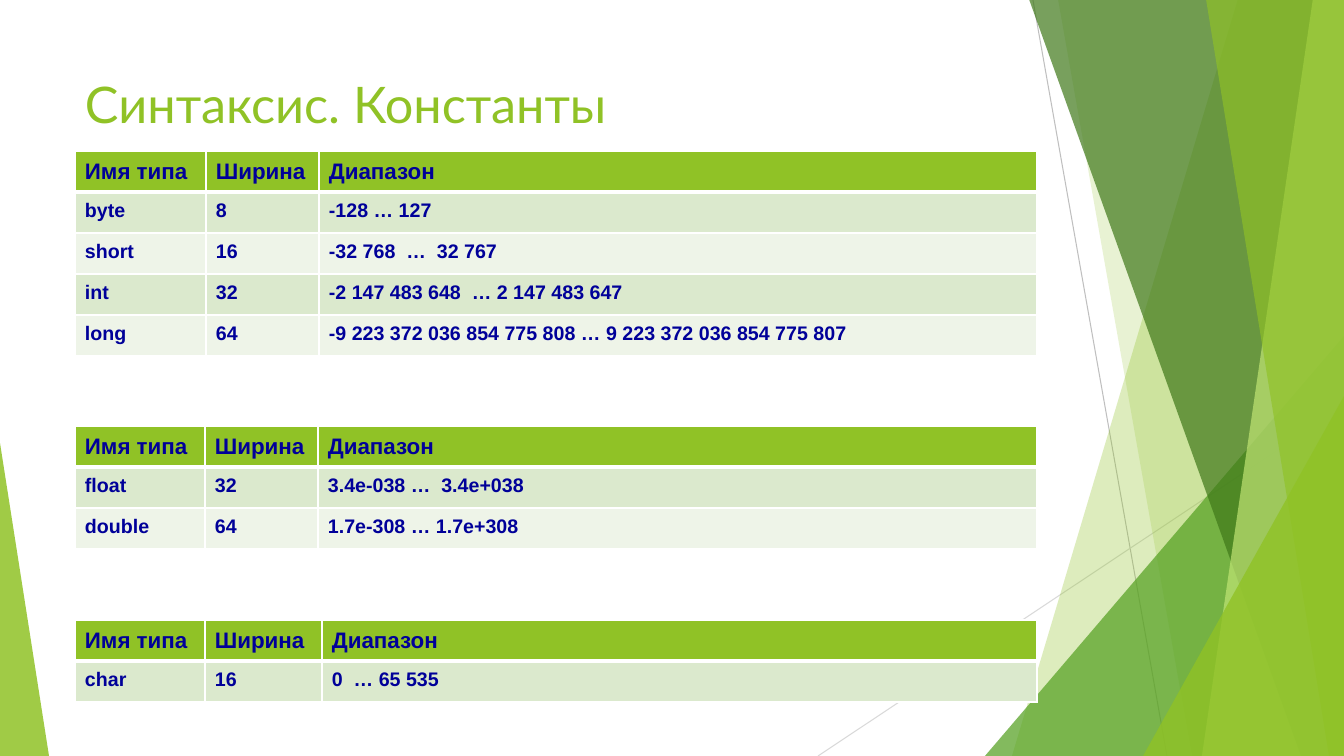
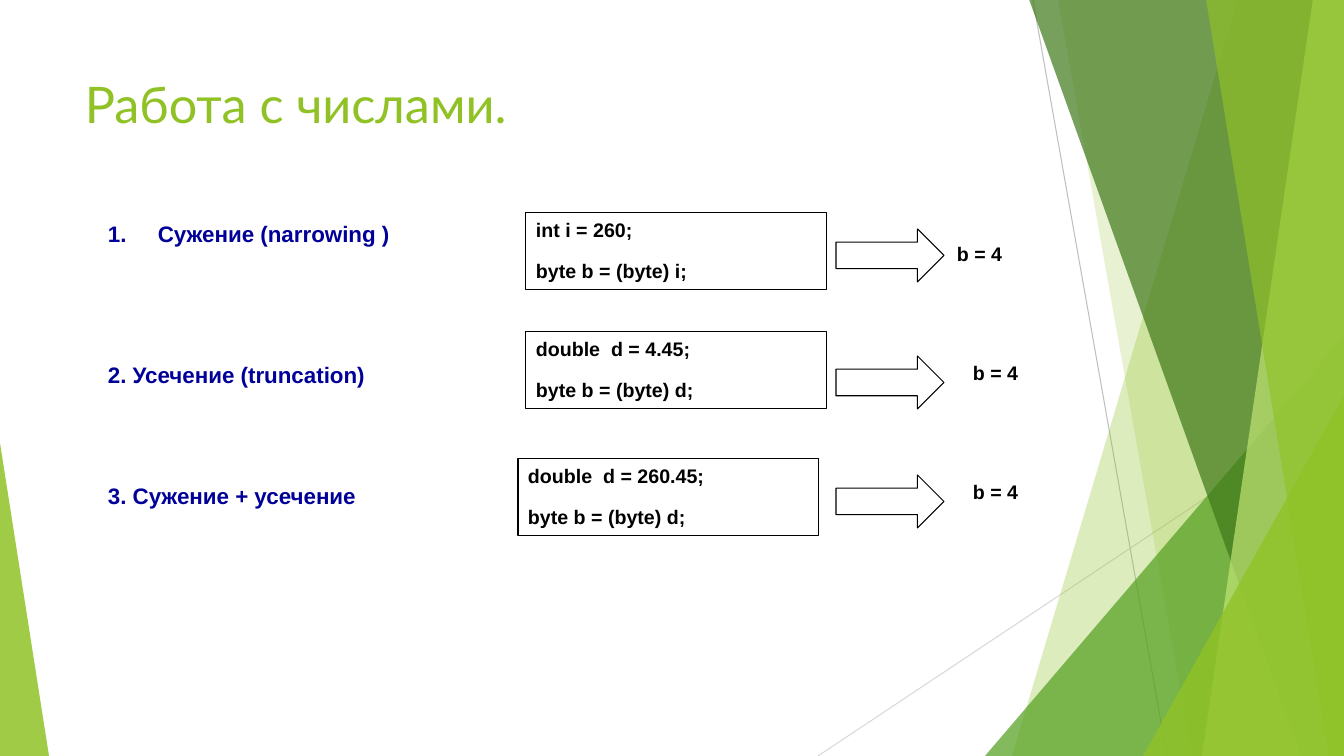
from dataclasses import dataclass

from lxml import etree
from pptx import Presentation
from pptx.dml.color import RGBColor
from pptx.enum import shapes, text
from pptx.oxml.ns import qn
from pptx.util import Pt

PX = 914400 / 100.8
WIDE, HIGH = 1344, 756


@dataclass(frozen=True)
class Theme:
    lime: str = "90C226"
    green: str = "54A021"
    dark: str = "3F7819"
    pale: str = "C0E474"
    odd: str = "DBE9CD"
    even: str = "EEF4E8"
    white: str = "FFFFFF"
    navy: str = "000099"
    black: str = "000000"
    head: str = "Lato"
    body: str = "Arial"
    title: int = 36
    label: int = 16
    small: int = 14


T = Theme()

# start, end, colour
RAYS = [((1033, 0), (1167, HIGH), "BFBFBF"), ((WIDE, 406), (818, HIGH), "D9D9D9")]

# A slab runs to the right edge from (top x, bottom x); a triangle has a box and an apex.
FACETS = [
    ("slab", (1238, 1012), T.lime, 30),
    ("slab", (1058, 1192), T.lime, 20),
    ("tri", ((985, 336, 359, 420), 1), T.green, 72),
    ("slab", (1029, 1301), T.dark, 70),
    ("slab", (1313, 1202), T.pale, 70),
    ("slab", (1206, 1329), T.lime, 65),
    ("tri", ((1143, 396, 201, 360), 1), T.lime, 80),
    ("tri", ((0, 443, 49, 313), 0), T.lime, 85),
]

TYPES = "Синтаксис. Константы"
HEADS = ("Имя типа", "Ширина", "Диапазон")
LEFT, ROW = 75, 41
# top, column widths, rows
TABLES = [
    (151, (131, 113, 718), [
        ("byte", "8", "-128 … 127"),
        ("short", "16", "-32 768  …  32 767"),
        ("int", "32", "-2 147 483 648  … 2 147 483 647"),
        ("long", "64", "-9 223 372 036 854 775 808 … 9 223 372 036 854 775 807"),
    ]),
    (426, (130, 113, 719), [
        ("float", "32", "3.4е-038 …  3.4е+038"),
        ("double", "64", "1.7е-308 … 1.7е+308"),
    ]),
    (620, (130, 117, 715), [("char", "16", "0  … 65 535")]),
]

CASTS = "Работа с числами."
RESULT = "b = 4"
# label, label top, line spacing, code, code corner, arrow top, result corner
CASES = [
    ("Сужение (narrowing )", 221, 0.75, ("int i = 260;", "byte b = (byte) i;"),
     (526, 213), 229, (947, 237)),
    ("2. Усечение (truncation)", 356, 1, ("double  d = 4.45;", "byte b = (byte) d;"),
     (526, 332), 356, (963, 356)),
    ("3. Сужение + усечение", 483, 0.75, ("double  d = 260.45;", "byte b = (byte) d;"),
     (518, 459), 475, (963, 475)),
]


def emu(*vals):
    return [round(v * PX) for v in vals]


def rgb(code):
    return RGBColor.from_string(code)


def style(para, size, color, font=T.body, bold=True):
    for run in para.runs:
        face = run.font
        face.size, face.name, face.bold = Pt(size), font, bold
        face.color.rgb = rgb(color)


def write(shape, lines, size, color, space=1, gap=0, **look):
    frame = shape.text_frame
    frame.word_wrap = True
    frame.vertical_anchor = text.MSO_ANCHOR.TOP
    frame.text = "\n".join(lines)
    for i, para in enumerate(frame.paragraphs):
        para.alignment = text.PP_ALIGN.LEFT
        para.line_spacing = space
        para.space_before = Pt(gap if i else 0)
        style(para, size, color, **look)


def label(slide, box, line, size, color, **look):
    shape = slide.shapes.add_textbox(*emu(*box))
    write(shape, [line], size, color, **look)
    return shape


def number(shape, hang):
    """Turn the first paragraph into an automatically numbered item."""
    props = shape.text_frame.paragraphs[0]._p.get_or_add_pPr()
    props.set("marL", str(emu(hang)[0]))
    props.set("indent", str(emu(-hang)[0]))
    etree.SubElement(props, qn("a:buAutoNum"), type="arabicPeriod")


def outline(slide, kind, box):
    shape = slide.shapes.add_shape(kind, *emu(*box))
    shape.shadow.inherit = False
    shape.fill.background()
    shape.line.color.rgb = rgb(T.black)
    shape.line.width = Pt(0.75)
    return shape


def facet(slide, kind, data, color, alpha):
    if kind == "slab":
        top, base = data
        pen = slide.shapes.build_freeform(top, -1, scale=PX)
        pen.add_line_segments([(WIDE, -1), (WIDE, HIGH), (base, HIGH)])
        shape = pen.convert_to_shape()
    else:
        box, apex = data
        shape = slide.shapes.add_shape(
            shapes.MSO_SHAPE.ISOSCELES_TRIANGLE, *emu(*box))
        shape.adjustments[0] = apex
    shape.shadow.inherit = False
    shape.line.fill.background()
    shape.fill.solid()
    shape.fill.fore_color.rgb = rgb(color)
    tint = shape.fill._xPr.find(".//" + qn("a:srgbClr"))
    etree.SubElement(tint, qn("a:alpha"), val=str(alpha * 1000))


def page(deck, title):
    """Add a slide with the shared backdrop and title."""
    slide = deck.slides.add_slide(deck.slide_layouts[6])
    for start, end, color in RAYS:
        ray = slide.shapes.add_connector(
            shapes.MSO_CONNECTOR.STRAIGHT, *emu(*start, *end))
        ray.line.color.rgb = rgb(color)
        ray.line.width = Pt(0.75)
        etree.SubElement(ray._element.spPr, qn("a:effectLst"))
    for item in FACETS:
        facet(slide, *item)
    label(slide, (LEFT, 68, 948, 145), title, T.title, T.lime,
          font=T.head, bold=False)
    return slide


def border(cell, base):
    """Draw white cell edges, the bottom one base points wide."""
    props = cell._tc.get_or_add_tcPr()
    for side, width in (("L", 1), ("R", 1), ("T", 1), ("B", base)):
        edge = etree.SubElement(props, qn("a:ln" + side), w=str(Pt(width)))
        fill = etree.SubElement(edge, qn("a:solidFill"))
        etree.SubElement(fill, qn("a:srgbClr"), val=T.white)


def grid(slide, top, widths, rows):
    rows = [HEADS, *rows]
    box = emu(LEFT, top, sum(widths), ROW * len(rows))
    table = slide.shapes.add_table(len(rows), len(widths), *box).table
    for col, width in zip(table.columns, emu(*widths)):
        col.width = width
    for r, row in enumerate(rows):
        table.rows[r].height = emu(ROW)[0]
        head = r == 0
        for c, value in enumerate(row):
            cell = table.cell(r, c)
            cell.text = value
            cell.margin_left, cell.margin_top, cell.margin_right, cell.margin_bottom = emu(
                10, 11 if head else 10, 10, 5)
            para = cell.text_frame.paragraphs[0]
            para.line_spacing = 0.87
            style(para, T.label if head else T.small, T.navy)
            border(cell, 3 if head or r == 1 and len(rows) == 2 and False else 1)
            cell.fill.solid()
            cell.fill.fore_color.rgb = rgb(
                T.lime if head else T.odd if r % 2 else T.even)


def case(slide, name, top, space, code, corner, mid, spot):
    tag = label(slide, (98, top, 428, 34), name, T.label, T.navy, space=space)
    box = outline(slide, shapes.MSO_SHAPE.RECTANGLE, (*corner, 301, 77))
    write(box, code, T.small, T.black, gap=12.5)
    outline(slide, shapes.MSO_SHAPE.RIGHT_ARROW, (836, mid, 108, 53))
    label(slide, (*spot, 100, 34), RESULT, T.small, T.black)
    return tag


def main():
    deck = Presentation()
    deck.slide_width, deck.slide_height = emu(WIDE, HIGH)
    slide = page(deck, TYPES)
    for item in TABLES:
        grid(slide, *item)
    slide = page(deck, CASTS)
    tags = [case(slide, *item) for item in CASES]
    number(tags[0], 50)
    deck.save("out.pptx")


if __name__ == "__main__":
    main()
